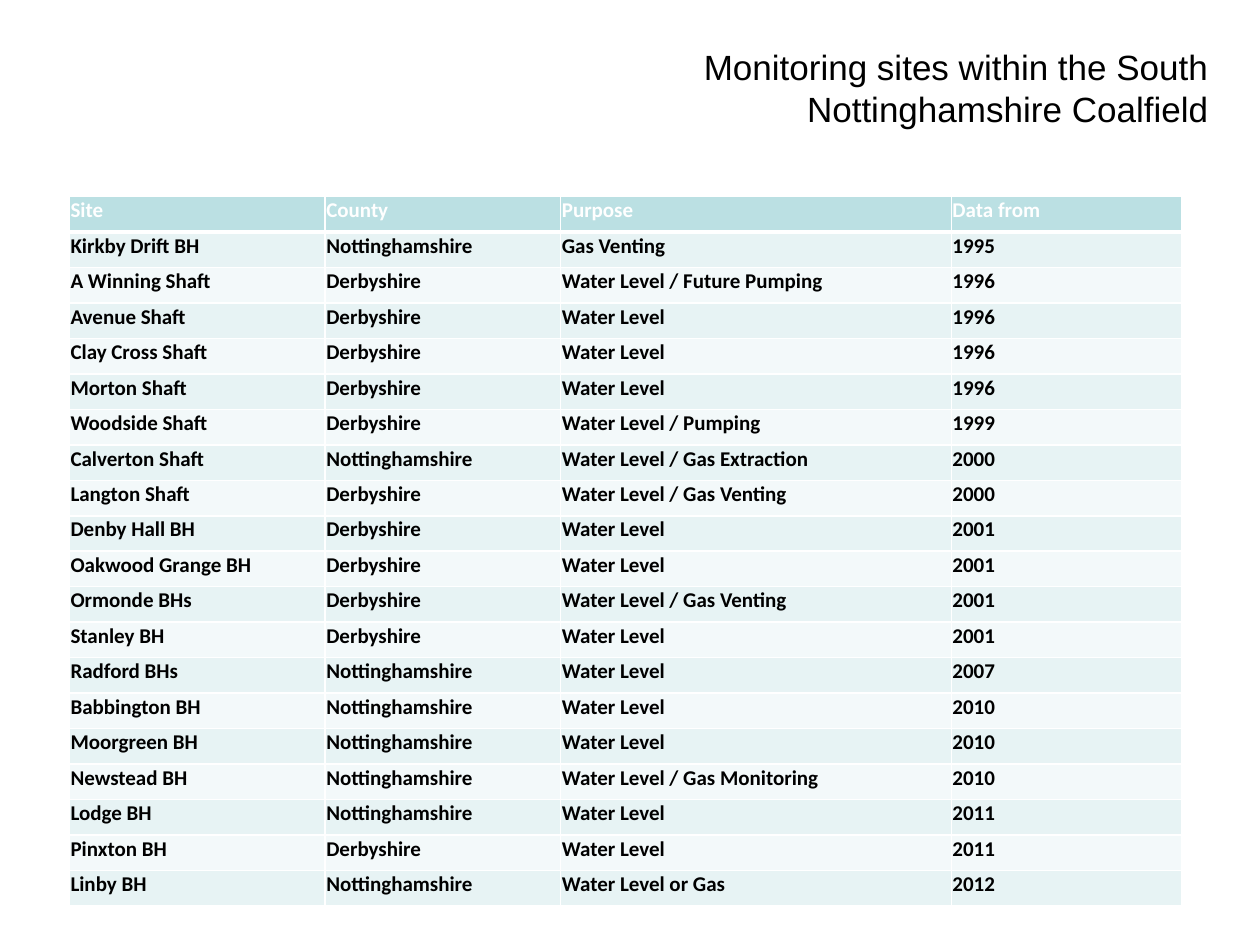
from lxml import etree
from pptx import Presentation
from pptx.dml.color import RGBColor
from pptx.enum.text import MSO_AUTO_SIZE, PP_ALIGN
from pptx.oxml.ns import qn
from pptx.util import Inches, Pt

RIGHT = PP_ALIGN.RIGHT
GROW = MSO_AUTO_SIZE.SHAPE_TO_FIT_TEXT
BLANK_LAYOUT = 6

SLIDE_W, SLIDE_H = Inches(10), Inches(7.5)
COLUMN_WIDTHS = [2.03, 1.87, 3.1, 1.83]
TABLE_HEIGHT = 5.63
CELL_INSET = Inches(0.01)

COLORS = {
    "text": "000000",
    "header_text": "FFFFFF",
    "header": "BBE0E3",
    "odd_row": "E7F3F4",
    "even_row": "F3F9FA",
    "border": "FFFFFF",
}

TITLE = "Monitoring sites within the South Nottinghamshire Coalfield"
HEADINGS = ("Site", "County", "Purpose", "Data from")
NOTTS, DERBYS, LEVEL = "Nottinghamshire", "Derbyshire", "Water Level"
SITES = [
    ("Kirkby Drift BH", NOTTS, "Gas Venting", 1995),
    ("A Winning Shaft", DERBYS, "Water Level / Future Pumping", 1996),
    ("Avenue Shaft", DERBYS, LEVEL, 1996),
    ("Clay Cross Shaft", DERBYS, LEVEL, 1996),
    ("Morton Shaft", DERBYS, LEVEL, 1996),
    ("Woodside Shaft", DERBYS, "Water Level / Pumping", 1999),
    ("Calverton Shaft", NOTTS, "Water Level / Gas Extraction", 2000),
    ("Langton Shaft", DERBYS, "Water Level / Gas Venting", 2000),
    ("Denby Hall BH", DERBYS, LEVEL, 2001),
    ("Oakwood Grange BH", DERBYS, LEVEL, 2001),
    ("Ormonde BHs", DERBYS, "Water Level / Gas Venting", 2001),
    ("Stanley BH", DERBYS, LEVEL, 2001),
    ("Radford BHs", NOTTS, LEVEL, 2007),
    ("Babbington BH", NOTTS, LEVEL, 2010),
    ("Moorgreen BH", NOTTS, LEVEL, 2010),
    ("Newstead BH", NOTTS, "Water Level / Gas Monitoring", 2010),
    ("Lodge BH", NOTTS, LEVEL, 2011),
    ("Pinxton BH", DERBYS, LEVEL, 2011),
    ("Linby BH", NOTTS, "Water Level or Gas", 2012),
]


def rgb(key):
    return RGBColor.from_string(COLORS[key])


def add_run(paragraph, text, font, size, color, bold=False):
    run = paragraph.add_run()
    run.text = text
    run.font.name = font
    run.font.size = Pt(size)
    run.font.bold = bold
    run.font.color.rgb = rgb(color)


def add_title(slide):
    title = slide.shapes.add_textbox(
        SLIDE_W // 2, Inches(0.31), Inches(4.69), Inches(0.77))
    frame = title.text_frame
    frame.word_wrap = True
    frame.auto_size = GROW
    frame.paragraphs[0].alignment = RIGHT
    add_run(frame.paragraphs[0], TITLE, "Arial", 20, "text")


def add_borders(cell, bottom_width):
    properties = cell._tc.get_or_add_tcPr()
    for side, width in (("L", 1), ("R", 1), ("T", 1), ("B", bottom_width)):
        line = etree.SubElement(properties, qn(f"a:ln{side}"), w=str(Pt(width)))
        fill = etree.SubElement(line, qn("a:solidFill"))
        etree.SubElement(fill, qn("a:srgbClr"), val=COLORS["border"])


def fill_cell(cell, text, fill, color, bottom_width):
    cell.margin_left = cell.margin_right = cell.margin_top = CELL_INSET
    cell.margin_bottom = 0
    # Borders come before the fill in the cell properties
    add_borders(cell, bottom_width)
    cell.fill.solid()
    cell.fill.fore_color.rgb = rgb(fill)
    add_run(cell.text_frame.paragraphs[0], text, "Calibri", 12, color, bold=True)


def add_sites_table(slide):
    rows = [HEADINGS, *SITES]
    table = slide.shapes.add_table(
        len(rows), len(HEADINGS), Inches(0.55), Inches(1.56),
        Inches(sum(COLUMN_WIDTHS)), Inches(TABLE_HEIGHT)).table
    for column, width in zip(table.columns, COLUMN_WIDTHS):
        column.width = Inches(width)
    for row_number, values in enumerate(rows):
        if row_number == 0:
            style = ("header", "header_text", 3)
        else:
            style = ("odd_row" if row_number % 2 else "even_row", "text", 1)
        for cell, value in zip(table.rows[row_number].cells, values):
            fill_cell(cell, str(value), *style)


def main():
    presentation = Presentation()
    presentation.slide_width, presentation.slide_height = SLIDE_W, SLIDE_H
    slide = presentation.slides.add_slide(
        presentation.slide_layouts[BLANK_LAYOUT])
    add_title(slide)
    add_sites_table(slide)
    presentation.save("out.pptx")


if __name__ == "__main__":
    main()
